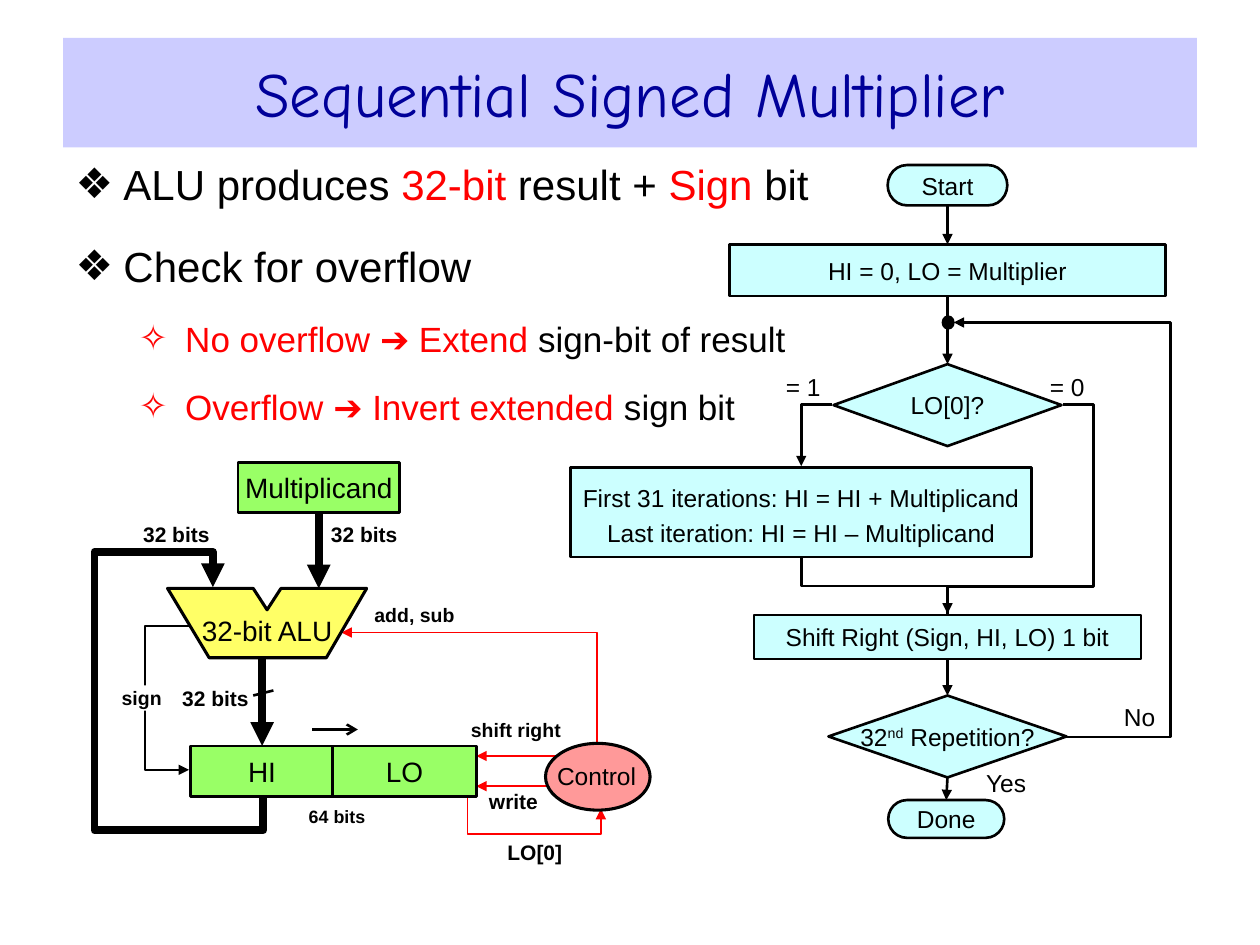
from pptx import Presentation
from pptx.dml.color import RGBColor
from pptx.enum.shapes import MSO_CONNECTOR as LINK, MSO_SHAPE as SHAPE
from pptx.enum.text import MSO_ANCHOR, MSO_AUTO_SIZE, PP_ALIGN
from pptx.oxml.ns import qn
from pptx.util import Inches, Pt
from lxml.etree import SubElement

COLORS = {
    "black": "000000", "white": "FFFFFF", "red": "FF0000", "navy": "000099",
    "lilac": "CCCCFF", "cyan": "CCFFFF", "green": "99FF66",
    "yellow": "FFFF66", "pink": "FF9999",
}


def color(name):
    return RGBColor.from_string(COLORS[name])


class Canvas:
    font = "Arial"

    def __init__(self, slide):
        self.slide = slide
        self.shapes = slide.shapes

    def style(self, para, size, tint="black", bold=False, font=None):
        para.font.name = font or self.font
        para.font.size = Pt(size)
        para.font.bold = bold
        para.font.color.rgb = color(tint)

    def place(self, shape, at):
        shape.left, shape.top, shape.width, shape.height = map(Inches, at)

    def letter(self, frame, lines, size, bold=False, pad=0, wrap=True, space=None):
        frame.word_wrap = wrap
        frame.vertical_anchor = MSO_ANCHOR.MIDDLE
        frame.margin_left = frame.margin_right = Inches(pad)
        frame.margin_top = frame.margin_bottom = 0
        for i, line in enumerate(lines.split("\n")):
            para = frame.paragraphs[0] if i == 0 else frame.add_paragraph()
            para.alignment = PP_ALIGN.CENTER
            para.line_spacing = space
            self.style(para, size, bold=bold)
            # Text between carets is raised
            for j, part in enumerate(line.split("^")):
                run = para.add_run()
                run.text = part
                if j % 2:
                    run._r.get_or_add_rPr().set("baseline", "30000")

    def title(self, text, at):
        box = self.shapes.title
        self.place(box, at)
        box.fill.solid()
        box.fill.fore_color.rgb = color("lilac")
        frame = box.text_frame
        frame.auto_size = MSO_AUTO_SIZE.NONE
        frame.vertical_anchor = MSO_ANCHOR.MIDDLE
        frame.text = text
        para = frame.paragraphs[0]
        para.alignment = PP_ALIGN.CENTER
        self.style(para, 36, "navy", font="Comic Neue")

    def body(self, items, at):
        box = self.slide.placeholders[1]
        self.place(box, at)
        frame = box.text_frame
        frame.auto_size = MSO_AUTO_SIZE.NONE
        looks = [(24, 18, "❖", "black", 0.38, -0.38),
                 (20, 15, "✧", "red", 0.87, -0.37)]
        for i, (level, parts) in enumerate(items):
            size, gap, mark, tint, left, hang = looks[level]
            para = frame.paragraphs[0] if i == 0 else frame.add_paragraph()
            para.level = level
            para.space_before = Pt(gap if i else 0)
            props = para._p.get_or_add_pPr()
            props.set("marL", str(Inches(left)))
            props.set("indent", str(Inches(hang)))
            fill = SubElement(props, qn("a:buClr"))
            SubElement(fill, qn("a:srgbClr")).set("val", COLORS[tint])
            SubElement(props, qn("a:buFont")).set("typeface", self.font)
            SubElement(props, qn("a:buChar")).set("char", mark)
            self.style(para, size)
            for text, shade in parts:
                run = para.add_run()
                run.text = text
                run.font.color.rgb = color(shade)

    def box(self, kind, at, fill, text="", size=14, edge=1.5, **look):
        shape = self.shapes.add_shape(kind, *map(Inches, at))
        self.paint(shape, fill, edge)
        if text:
            self.letter(shape.text_frame, text, size, **look)
        return shape

    def paint(self, shape, fill, edge):
        shape.shadow.inherit = False
        shape.fill.solid()
        shape.fill.fore_color.rgb = color(fill)
        if edge:
            self.ink(shape, "black", edge)
        else:
            shape.line.fill.background()

    def label(self, text, at, size=12, bold=True):
        box = self.shapes.add_textbox(*map(Inches, at))
        self.letter(box.text_frame, text, size, bold, wrap=bold)

    def ink(self, shape, tint, width, head=None, tail=None):
        shape.line.color.rgb = color(tint)
        shape.line.width = Pt(width)
        line = shape.line._get_or_add_ln()
        for tag, tip in (("a:headEnd", head), ("a:tailEnd", tail)):
            if tip:
                SubElement(line, qn(tag)).set("type", tip)

    def line(self, start, end, tint="black", width=1.5, tail="triangle",
             first=None, last=None, kind=LINK.STRAIGHT):
        link = self.shapes.add_connector(kind, *map(Inches, start + end))
        if first:
            link.begin_connect(first, 2)
        if last:
            link.end_connect(last, 0)
        self.ink(link, tint, width, tail=tail)
        SubElement(link._element.spPr, qn("a:effectLst"))
        return link

    def elbow(self, start, end, bends, adjust=(), turn=0, tail="triangle"):
        link = self.line(start, end, tail=tail, kind=LINK.ELBOW)
        props = link._element.spPr
        if turn:
            props.find(qn("a:xfrm")).set("rot", str(turn * 60000))
        geom = props.find(qn("a:prstGeom"))
        geom.set("prst", f"bentConnector{bends}")
        guides = geom.find(qn("a:avLst"))
        if guides is None:
            guides = SubElement(geom, qn("a:avLst"))
        for i, share in enumerate(adjust, 1):
            guide = SubElement(guides, qn("a:gd"))
            guide.set("name", f"adj{i}")
            guide.set("fmla", f"val {round(share * 100000)}")

    def outline(self, points, close=False):
        spots = [(Inches(x), Inches(y)) for x, y in points]
        pen = self.shapes.build_freeform(*spots[0])
        pen.add_line_segments(spots[1:], close=close)
        return pen.convert_to_shape()

    def route(self, points, tint="black", width=1, head=None, tail="triangle"):
        shape = self.outline(points)
        shape.shadow.inherit = False
        shape.fill.background()
        self.ink(shape, tint, width, head, tail)


deck = Presentation()
deck.slide_width, deck.slide_height = Inches(10), Inches(7.5)
art = Canvas(deck.slides.add_slide(deck.slide_layouts[1]))

# Title and list
art.title("Sequential Signed Multiplier", (0.5, 0.3, 9, 0.87))
art.body([
    (0, [("ALU produces ", "black"), ("32-bit", "red"), (" result + ", "black"),
         ("Sign", "red"), (" bit", "black")]),
    (0, [("Check for overflow", "black")]),
    (1, [("No overflow ➔ Extend", "red"), (" sign-bit of result", "black")]),
    (1, [("Overflow ➔ Invert extended ", "red"), ("sign bit", "black")]),
], (0.5, 1.21, 9, 2.81))

# Flowchart steps
MID = 7.52


def step(kind, top, width, height, text, mid=MID, **look):
    at = (mid - width / 2, top, width, height)
    return art.box(kind, at, "cyan", text, pad=0.1, wrap=False, **look)


start = step(SHAPE.FLOWCHART_TERMINATOR, 1.31, 0.95, 0.32, "Start")
init = step(SHAPE.RECTANGLE, 1.94, 3.46, 0.41, "HI = 0, LO = Multiplier")
test = step(SHAPE.FLOWCHART_DECISION, 2.89, 1.81, 0.65, "LO[0]?")
step(SHAPE.RECTANGLE, 3.71, 3.66, 0.71,
     "First 31 iterations: HI = HI + Multiplicand\n"
     "Last iteration: HI = HI – Multiplicand", mid=6.36, space=1.2)
shift = step(SHAPE.RECTANGLE, 4.88, 3.07, 0.35, "Shift Right (Sign, HI, LO) 1 bit")
check = step(SHAPE.FLOWCHART_DECISION, 5.52, 1.89, 0.65, "32^nd^ Repetition?")
done = step(SHAPE.FLOWCHART_TERMINATOR, 6.35, 0.92, 0.3, "Done", mid=7.51)
art.box(SHAPE.OVAL, (7.48, 2.51, 0.09, 0.1), "black", edge=1)

# Flowchart arrows
for first, last in ((start, init), (init, test), (shift, check), (check, done)):
    art.line((MID, 0), (MID, 1), first=first, last=last)
art.elbow((6.6, 3.21), (6.36, 3.7), 2)
art.elbow((7.16, 4.07), (6.72, 5.23), 3, (0.5,), turn=270)
art.elbow((8.44, 3.21), (MID, 4.87), 4, (-0.26, 0.87), tail=None)
art.elbow((8.47, 5.85), (7.57, 2.56), 3, (-0.91,))
for text, left, top, width in (("= 0", 8.23, 2.9, 0.48), ("= 1", 6.14, 2.9, 0.47),
                               ("No", 8.82, 5.52, 0.45), ("Yes", 7.72, 6.04, 0.53)):
    art.label(text, (left, top, width, 0.34), 14, bold=False)

# Datapath wires
art.route([(2.09, 4.97), (1.15, 4.97), (1.15, 6.11), (1.5, 6.11)], head="oval")
art.route([(2.09, 6.31), (2.09, 6.59), (0.75, 6.59), (0.75, 4.38),
           (1.69, 4.38), (1.69, 4.66)], width=4.5)
art.route([(3.71, 6.31), (3.71, 6.62), (4.77, 6.62), (4.77, 6.42)], "red")
art.route([(2.71, 5.02), (4.74, 5.02), (4.74, 5.93)], "red",
          head="triangle", tail=None)
for left, top in ((4.41, 6), (4.38, 6.24)):
    art.line((left, top), (3.78, top), "red", 1)

# Datapath units
alu = art.outline([(2.91, 4.67), (2.23, 4.67), (2.12, 4.84), (2.01, 4.67),
                   (1.33, 4.67), (1.66, 5.22), (2.59, 5.22)], close=True)
art.paint(alu, "yellow", 1.75)
art.label("32-bit ALU", (1.53, 4.81, 1.18, 0.39), 16, bold=False)
art.box(SHAPE.OVAL, (4.33, 5.9, 0.83, 0.53), "pink", edge=1.75)
art.label("Control", (4.34, 5.99, 0.79, 0.34), 14, bold=False)
factor, high, low = [
    art.box(SHAPE.RECTANGLE, (left, top, width, 0.4), "green", text, 16)
    for text, left, top, width in (("Multiplicand", 1.89, 3.67, 1.28),
                                   ("HI", 1.51, 5.92, 1.14), ("LO", 2.64, 5.92, 1.14))]
art.line((2.53, 4.07), (2.53, 4.67), width=4.5, first=factor)
art.line((2.08, 5.21), (2.08, 5.92), width=4.5, last=high)
art.line((2.48, 5.79), (2.84, 5.79), tail="arrow")
art.line((2.01, 5.52), (2.17, 5.48), tail=None)

# Datapath labels
for text, left, top, width, size in (
        ("32 bits", 2.6, 4.14, 0.58, 12), ("32 bits", 1.11, 4.14, 0.58, 12),
        ("32 bits", 1.42, 5.44, 0.58, 12), ("64 bits", 2.39, 6.38, 0.57, 10.2),
        ("write", 3.82, 6.26, 0.51, 12), ("add, sub", 2.84, 4.78, 0.9, 11.1),
        ("shift right", 3.61, 5.69, 0.97, 11.1), ("LO[0]", 3.76, 6.66, 0.97, 12)):
    art.label(text, (left, top, width, 0.2), size)
art.box(SHAPE.RECTANGLE, (0.87, 5.44, 0.51, 0.2), "white", "sign", 11.1,
        edge=None, bold=True)

deck.save("out.pptx")
